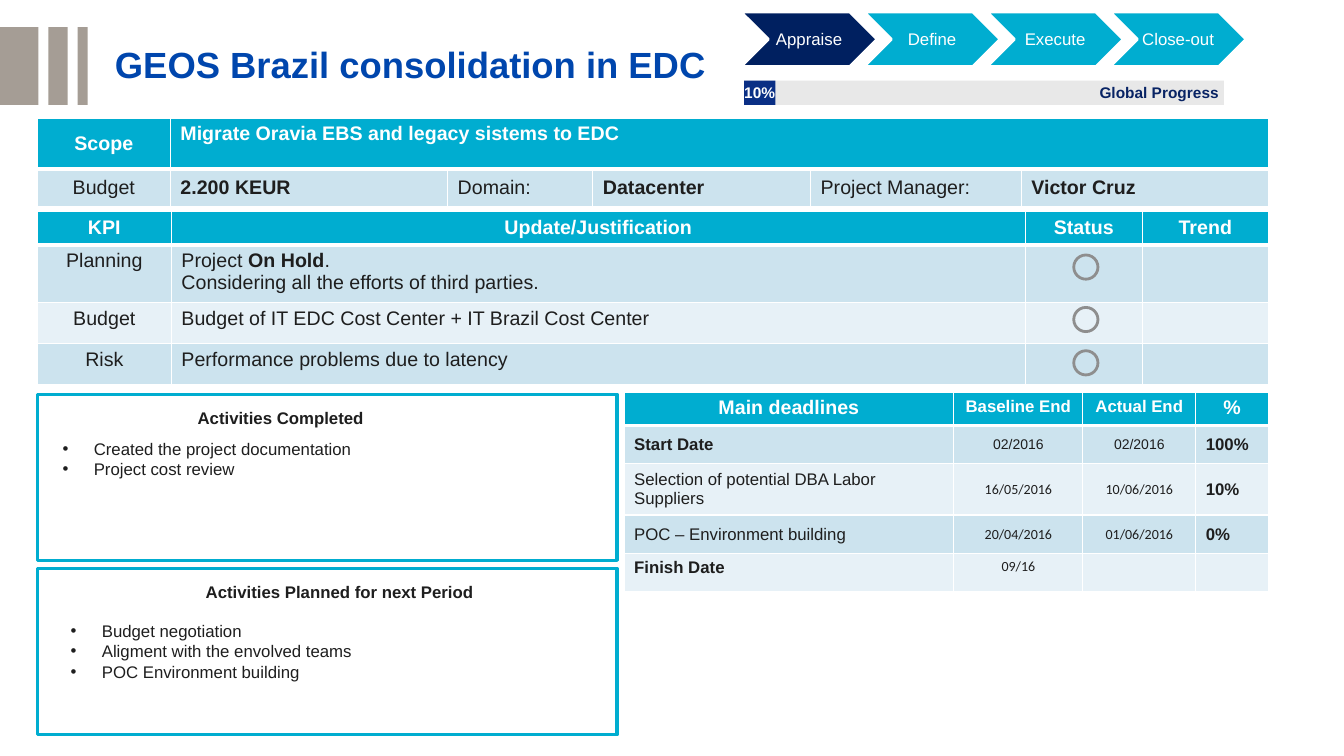
from lxml import etree
from pptx import Presentation
from pptx.dml.color import RGBColor
from pptx.enum.shapes import MSO_SHAPE
from pptx.enum.text import MSO_ANCHOR, MSO_AUTO_SIZE, PP_ALIGN
from pptx.oxml.ns import qn
from pptx.util import Pt

PX = 9144  # EMU per px, 100 px to the inch

THEME = {
    "font": "Arial", "date_font": "Calibri",
    "title": "0046AD", "cyan": "00ADD0", "navy": "002060", "ink": "1E1E1E",
    "white": "FFFFFF", "taupe": "A59D95", "band": ["CCE3EE", "E7F1F7"],
    "track": "E8E8E8", "progress": "0A2F85", "progress_text": "082364",
    "ring": "8E8E8E",
    "title_pt": 26, "large_pt": 14, "text_pt": 12, "label_pt": 11, "date_pt": 10,
}
LARGE, TEXT, DATE = THEME["large_pt"], THEME["text_pt"], THEME["date_pt"]
ALIGN = {"l": PP_ALIGN.LEFT, "c": PP_ALIGN.CENTER, "r": PP_ALIGN.RIGHT}
ANCHOR = {"t": MSO_ANCHOR.TOP, "m": MSO_ANCHOR.MIDDLE}


def write(tf, lines, size, color, align="l", bold=False):
    """Fill a text frame, one paragraph a line; words between asterisks are bold."""
    for i, line in enumerate(lines):
        p = tf.paragraphs[0] if i == 0 else tf.add_paragraph()
        p.alignment = ALIGN[align]
        p.space_before = Pt(0)
        for j, part in enumerate(line.split("*")):
            if part:
                r = p.add_run()
                r.text = part
                r.font.name = THEME["font"]
                r.font.size = Pt(size)
                r.font.bold = bold or j % 2 == 1
                r.font.color.rgb = RGBColor.from_string(color)
        if not line:
            p._p.get_or_add_endParaRPr().set("sz", str(size * 100))


def add_grid(x, y, widths, heights, rows, aligns, sizes, anchors):
    """Add a banded table; aligns and sizes hold one entry for the header and one for the body."""
    frame = s.shapes.add_table(len(rows), len(widths), x * PX, y * PX,
                               sum(widths) * PX, sum(heights) * PX)
    table = frame.table
    for col, width in zip(table.columns, widths):
        col.width = width * PX
    for i, (row, height) in enumerate(zip(rows, heights)):
        table.rows[i].height = height * PX
        body = min(i, 1)
        for j, text in enumerate(row):
            cell = table.cell(i, j)
            cell.vertical_anchor = ANCHOR[anchors[i]]
            write(cell.text_frame, text.split("\n"), sizes[body][j],
                  THEME["ink"] if body else THEME["white"],
                  aligns[body][j], bold=not body)
            tc_pr = cell._tc.get_or_add_tcPr()
            for side in "LRTB":
                heavy = (i, side) in [(0, "B"), (1, "T")]
                ln = etree.SubElement(tc_pr, qn(f"a:ln{side}"), w=str(Pt(3 if heavy else 1)))
                fill = etree.SubElement(ln, qn("a:solidFill"))
                etree.SubElement(fill, qn("a:srgbClr"), val=THEME["white"])
            cell.fill.solid()
            cell.fill.fore_color.rgb = RGBColor.from_string(
                THEME["band"][(i - 1) % 2] if body else THEME["cyan"])
    return table


prs = Presentation()
prs.slide_width, prs.slide_height = 1333 * PX, 750 * PX
s = prs.slides.add_slide(prs.slide_layouts.get_by_name("Comparison"))

# Title, activity headings and activity lists
title, done_head, done_list, next_head, next_list = list(s.placeholders)[:5]
for sp in list(s.placeholders)[5:]:
    sp.element.getparent().remove(sp.element)

placeholders = [
    (title, 114, 28, 1187, 76, ["GEOS Brazil consolidation in EDC"]),
    (done_head, 186, 399, 268, 30, ["Activities Completed"]),
    (next_head, 194, 572, 306, 30, ["Activities Planned for next Period"]),
    (done_list, 52, 430, 535, 71, ["Created the project documentation", "Project cost review"]),
    (next_list, 60, 611, 535, 91, ["Budget negotiation", "Aligment with the envolved teams",
                                   "POC Environment building"]),
]
for sp, x, y, w, h, lines in placeholders:
    sp.left, sp.top, sp.width, sp.height = x * PX, y * PX, w * PX, h * PX
    tf = sp.text_frame
    tf.word_wrap = True
    tf.auto_size = MSO_AUTO_SIZE.NONE
    tf.vertical_anchor = ANCHOR["m" if sp is title else "t"]
    write(tf, lines, THEME["title_pt"] if sp is title else TEXT,
          THEME["title"] if sp is title else THEME["ink"],
          bold=sp not in (done_list, next_list))
    if sp in (done_list, next_list):
        for p in tf.paragraphs:
            p_pr = p._p.get_or_add_pPr()
            p_pr.set("marL", str(31 * PX))
            p_pr.set("indent", str(-31 * PX))
            etree.SubElement(p_pr, qn("a:buFont"), typeface=THEME["font"])
            etree.SubElement(p_pr, qn("a:buChar"), char="•")
tf = title.text_frame
tf.margin_left = tf.margin_right = tf.margin_top = tf.margin_bottom = 0
tf.paragraphs[0].line_spacing = 0.9

# Project summary, indicators and deadlines
summary = add_grid(
    37, 117, [132, 275, 144, 216, 209, 245], [51, 37],
    [["Scope", "Migrate Oravia EBS and legacy sistems to EDC", "", "", "", ""],
     ["Budget", "*2.200 KEUR*", "Domain:", "*Datacenter*", "Project Manager:", "*Victor Cruz*"]],
    ["clllll", "clllll"], [[LARGE] * 6] * 2, "mm")
summary.cell(0, 1).merge(summary.cell(0, 5))
summary.cell(0, 1).vertical_anchor = ANCHOR["t"]

add_grid(
    37, 210, [133, 847, 116, 125], [33, 57, 41, 41],
    [["KPI", "Update/Justification", "Status", "Trend"],
     ["Planning", "Project *On Hold*.\nConsidering all the efforts of third parties.", "", ""],
     ["Budget", "Budget of IT EDC Cost Center + IT Brazil Cost Center", "", ""],
     ["Risk", "Performance problems due to latency", "", ""]],
    ["cccc", "clcc"], [[LARGE] * 4] * 2, "tttt")

deadlines = add_grid(
    619, 389, [327, 128, 112, 72], [33, 38, 51, 38, 38],
    [["Main deadlines", "Baseline End", "Actual End", "%"],
     ["*Start Date*", "02/2016", "02/2016", "*100%*"],
     ["Selection of potential DBA Labor Suppliers", "16/05/2016", "10/06/2016", "*10%*"],
     ["POC – Environment building", "20/04/2016", "01/06/2016", "*0%*"],
     ["*Finish Date*", "09/16", "", ""]],
    ["cccc", "lccl"], [[LARGE, TEXT, TEXT, LARGE], [TEXT, DATE, DATE, TEXT]], "tmmmt")
for i in (2, 3, 4):
    for j in (1, 2):
        for r in deadlines.cell(i, j).text_frame.paragraphs[0].runs:
            r.font.name = THEME["date_font"]

# Shapes: kind, x, y, w, h, fill, line, line width, text, text colour, align
RECT, CHEVRON, OVAL = MSO_SHAPE.RECTANGLE, MSO_SHAPE.CHEVRON, MSO_SHAPE.OVAL
shapes = [(RECT, x, 27, w, 77, THEME["taupe"], None, 0, "", None, "l")
          for x, w in [(0, 38), (48, 19), (77, 10)]]
shapes += [(RECT, 37, y, 575, 165, None, THEME["cyan"], 2.25, "", None, "l")
           for y in (391, 564)]
shapes += [(OVAL, 1065, y, 24, 24, None, THEME["ring"], 2, "", None, "l")
           for y in (253, 305, 348)]
shapes += [(CHEVRON, 735 + 122 * i, 12, 135, 54, THEME["cyan" if i else "navy"],
            THEME["white"], 2, phase, THEME["white"], "c")
           for i, phase in enumerate(["Appraise", "Define", "Execute", "Close-out"])]
shapes += [
    (RECT, 738, 80, 476, 24, THEME["track"], None, 0, "Global Progress", THEME["progress_text"], "r"),
    (RECT, 738, 80, 31, 24, THEME["progress"], None, 0, "10%", THEME["white"], "c"),
]
for kind, x, y, w, h, fill, line, line_pt, text, color, align in shapes:
    sp = s.shapes.add_shape(kind, x * PX, y * PX, w * PX, h * PX)
    sp.shadow.inherit = False
    if fill:
        sp.fill.solid()
        sp.fill.fore_color.rgb = RGBColor.from_string(fill)
    else:
        sp.fill.background()
    if line:
        sp.line.color.rgb = RGBColor.from_string(line)
        sp.line.width = Pt(line_pt)
    else:
        sp.line.fill.background()
    if text:
        tf = sp.text_frame
        tf.word_wrap = align == "r"
        tf.vertical_anchor = ANCHOR["m"]
        tf.margin_left = tf.margin_top = tf.margin_bottom = 0
        tf.margin_right = 5 * PX if align == "r" else 0
        is_phase = kind == CHEVRON
        write(tf, [text], TEXT if is_phase else THEME["label_pt"], color, align, bold=not is_phase)

prs.save("out.pptx")
